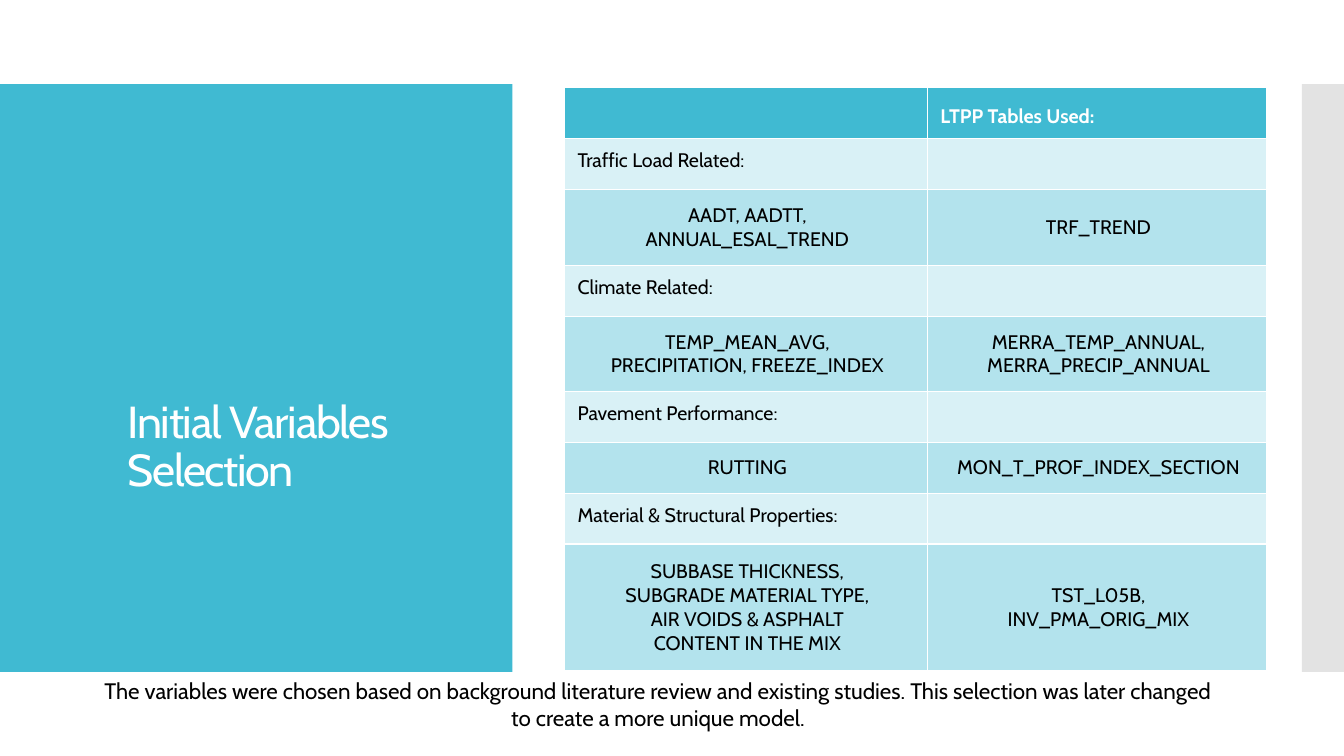
from lxml.etree import SubElement
from pptx import Presentation
from pptx.dml.color import RGBColor
from pptx.enum.shapes import MSO_SHAPE
from pptx.enum.text import MSO_ANCHOR, MSO_AUTO_SIZE, PP_ALIGN
from pptx.oxml.ns import qn
from pptx.util import Inches, Pt

COLUMNS, ROWS = 160, 90
WIDTH, HEIGHT = Inches(13.33), Inches(7.5)
FONT = "Cabin"
TEAL = RGBColor(0x40, 0xBA, 0xD2)
GREY = RGBColor(0xC8, 0xC8, 0xC8)
PALE = RGBColor(0xD9, 0xF1, 0xF6)
LIGHT = RGBColor(0xB3, 0xE3, 0xED)
WHITE = RGBColor(0xFF, 0xFF, 0xFF)
BLACK = RGBColor(0x00, 0x00, 0x00)

PANEL_TOP, PANEL_ROWS = 10, 70
COLUMN_SPANS = (43.2, 40.4)
HEADER_SPAN = 6
GROUPS = [
    ("Traffic Load Related:", 9, "AADT, AADTT,\nANNUAL_ESAL_TREND", "TRF_TREND"),
    ("Climate Related:", 9, "TEMP_MEAN_AVG,\nPRECIPITATION, FREEZE_INDEX",
     "MERRA_TEMP_ANNUAL,\nMERRA_PRECIP_ANNUAL"),
    ("Pavement Performance:", 6, "RUTTING", "MON_T_PROF_INDEX_SECTION"),
    ("Material & Structural Properties:", 15.1,
     "SUBBASE THICKNESS,\nSUBGRADE MATERIAL TYPE,\nAIR VOIDS & ASPHALT\nCONTENT IN THE MIX",
     "TST_L05B,\nINV_PMA_ORIG_MIX"),
]


def across(columns):
    """Turn grid columns into a length."""
    return int(WIDTH * columns / COLUMNS)


def down(rows):
    """Turn grid rows into a length."""
    return int(HEIGHT * rows / ROWS)


def area(left, top, columns, rows):
    """Return the position and size of a grid area."""
    return across(left), down(top), across(columns), down(rows)


def write(frame, text, size=14, color=BLACK, bold=False, align=PP_ALIGN.LEFT,
          line_spacing=None, tracking=None):
    """Fill a text frame with one formatted paragraph per line."""
    for index, line in enumerate(text.split("\n")):
        para = frame.add_paragraph() if index else frame.paragraphs[0]
        para.alignment = align
        para.line_spacing = line_spacing
        span = para.add_run()
        span.text = line
        span.font.name = FONT
        span.font.size = Pt(size)
        span.font.bold = bold
        span.font.color.rgb = color
        if tracking is not None:
            span.font._element.set("spc", str(tracking * 100))


def add_panel(page, left, columns, color, opacity=100):
    """Place a plain panel behind the title."""
    panel = page.shapes.add_shape(
        MSO_SHAPE.RECTANGLE, *area(left, PANEL_TOP, columns, PANEL_ROWS))
    panel.shadow.inherit = False
    panel.line.fill.background()
    panel.fill.solid()
    panel.fill.fore_color.rgb = color
    if opacity < 100:
        tint = panel.element.spPr.find(qn("a:solidFill"))[0]
        SubElement(tint, qn("a:alpha")).set("val", str(opacity * 1000))
    page.shapes.title.element.addprevious(panel.element)


def place_title(page, text):
    """Set the title at the foot of its box."""
    title = page.shapes.title
    title.left, title.top, title.width, title.height = area(14, 17, 42.7, 42.7)
    frame = title.text_frame
    frame.word_wrap = True
    frame.auto_size = MSO_AUTO_SIZE.NONE
    frame.vertical_anchor = MSO_ANCHOR.BOTTOM
    write(frame, text, size=32, color=WHITE, line_spacing=0.9, tracking=-1)


def fill_cell(cell, text, fill, anchor=MSO_ANCHOR.TOP, **style):
    """Colour a table cell and write its text."""
    cell.fill.solid()
    cell.fill.fore_color.rgb = fill
    cell.vertical_anchor = anchor
    cell.margin_left = Inches(0.13)
    cell.margin_right = cell.margin_top = cell.margin_bottom = Inches(0.1)
    if text:
        write(cell.text_frame, text, **style)


def add_variables_table(page):
    """Add the table of variable groups and their source tables."""
    header = dict(fill=TEAL, anchor=MSO_ANCHOR.BOTTOM, color=WHITE, bold=True)
    heading = dict(fill=PALE)
    values = dict(fill=LIGHT, anchor=MSO_ANCHOR.MIDDLE, align=PP_ALIGN.CENTER)
    lines = [(HEADER_SPAN, ("", "LTPP Tables Used:"), header)]
    for group, span, variables, sources in GROUPS:
        lines.append((HEADER_SPAN, (group, ""), heading))
        lines.append((span, (variables, sources), values))
    height = sum(span for span, _, _ in lines)
    table = page.shapes.add_table(
        len(lines), len(COLUMN_SPANS),
        *area(67.2, 10.44, sum(COLUMN_SPANS), height)).table
    for column, span in zip(table.columns, COLUMN_SPANS):
        column.width = across(span)
    for row, (span, texts, style) in zip(table.rows, lines):
        row.height = down(span)
        for cell, text in zip(row.cells, texts):
            fill_cell(cell, text, **style)


def add_caption(page, text):
    """Add the centred remark below the table."""
    box = page.shapes.add_textbox(*area(10.5, 80, 135.7, 7.7))
    box.text_frame.word_wrap = True
    write(box.text_frame, text, size=16, align=PP_ALIGN.CENTER)


def main():
    """Build and save the slide."""
    deck = Presentation()
    deck.slide_width, deck.slide_height = WIDTH, HEIGHT
    page = deck.slides.add_slide(deck.slide_layouts[5])
    add_panel(page, 0, 61, TEAL)
    add_panel(page, 155, 5, GREY, opacity=50)
    place_title(page, "Initial Variables Selection")
    add_variables_table(page)
    add_caption(page, "The variables were chosen based on background literature review "
                      "and existing studies. This selection was later changed to create "
                      "a more unique model.")
    deck.save("out.pptx")


if __name__ == "__main__":
    main()
